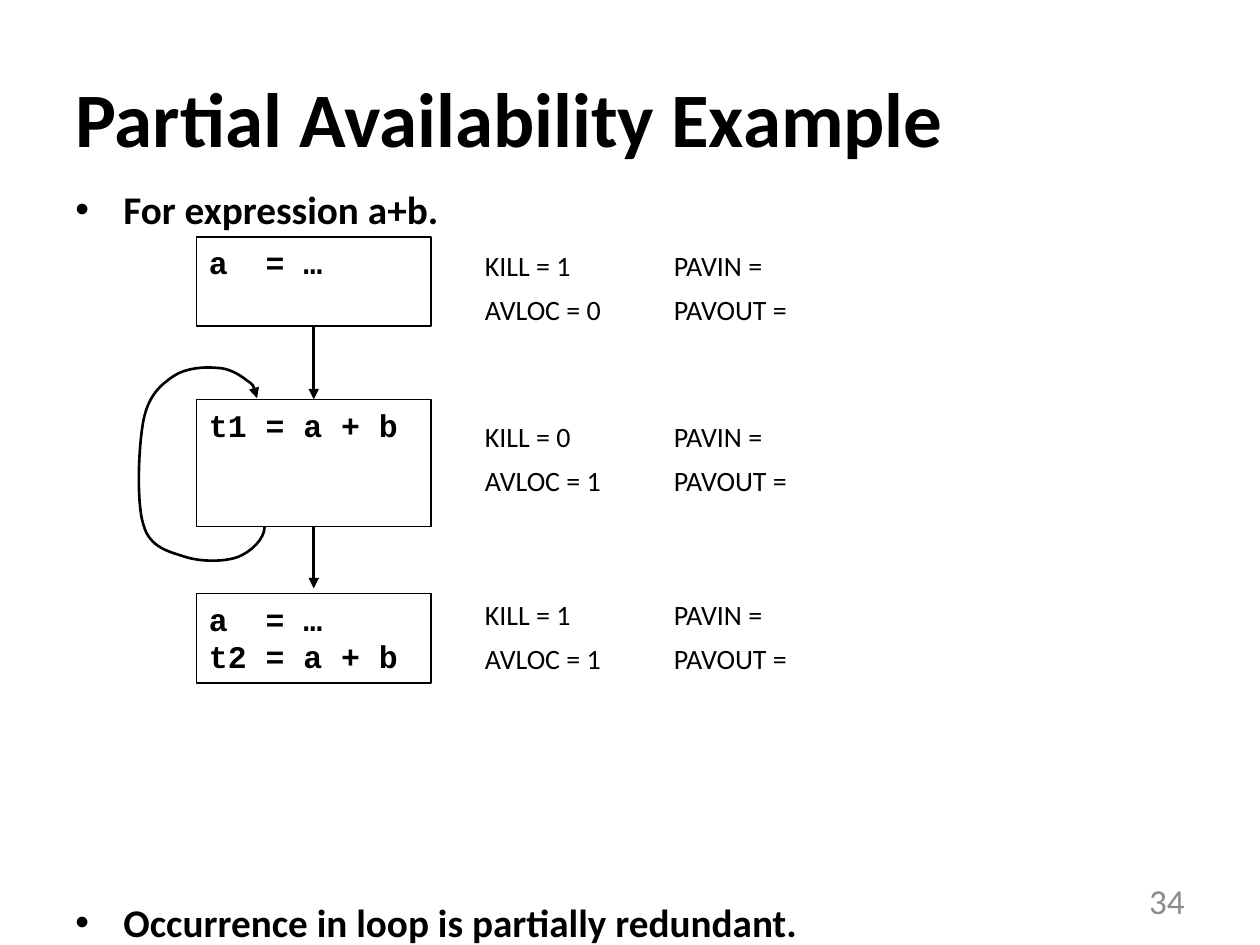
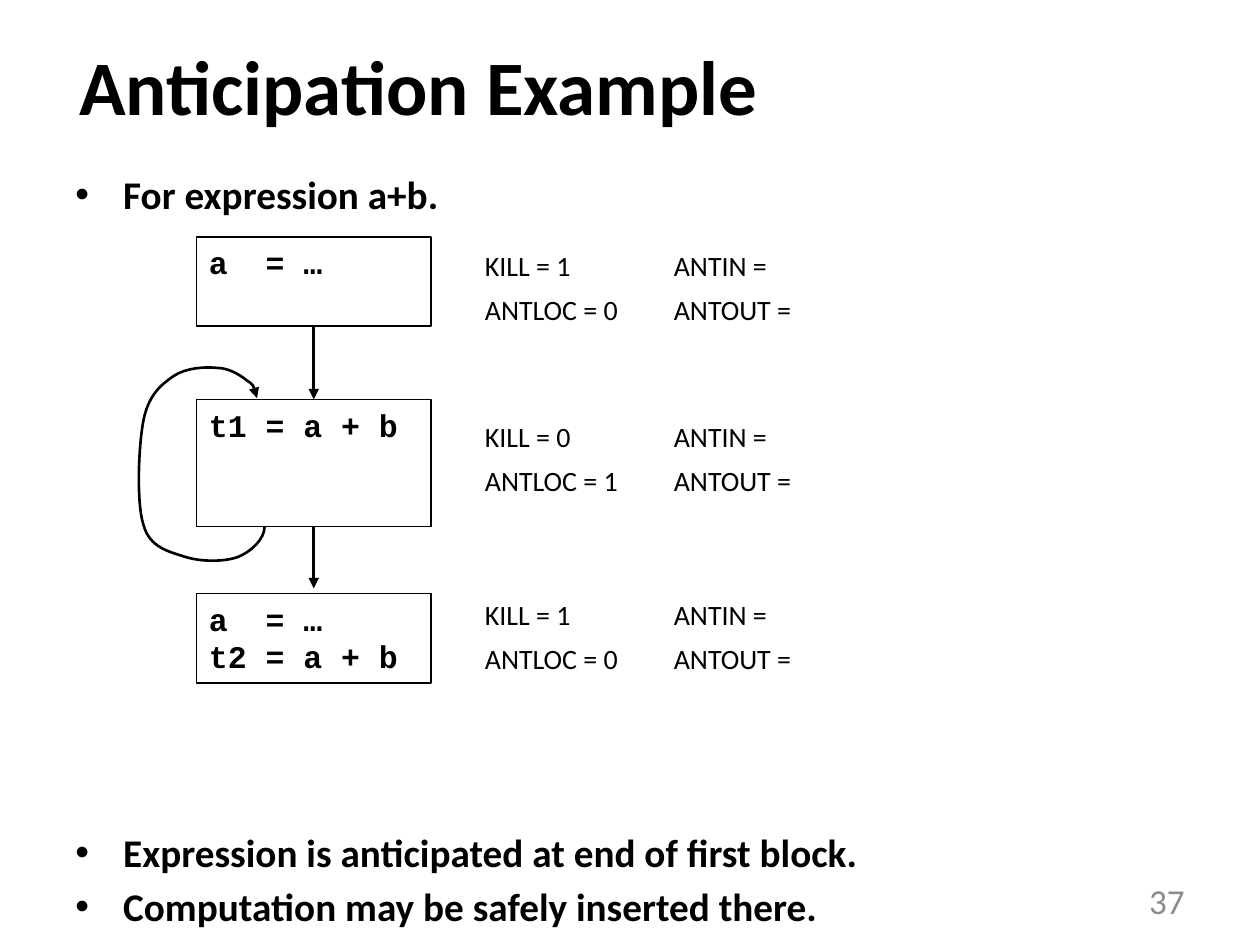
import pptx
import pptx.dml.color
import pptx.enum.shapes
import pptx.enum.text
import pptx.oxml.ns
import pptx.util
from lxml import etree

Inches = pptx.util.Inches
Pt = pptx.util.Pt
qn = pptx.oxml.ns.qn
ANCHOR = pptx.enum.text.MSO_ANCHOR
ALIGN = pptx.enum.text.PP_ALIGN

BLACK = pptx.dml.color.RGBColor(0x00, 0x00, 0x00)
GRAY = pptx.dml.color.RGBColor(0x8C, 0x8C, 0x8C)
SANS = "Calibri"
MONO = "Courier New"

LINE_STEP = 31.4  # points from one bullet line to the next
BULLET_GAP = 4
BOX_LEFT, BOX_WIDTH = 1.56, 1.86
BLOCKS = [(1.88, 0.71, "a  = …"),
          (3.17, 1.01, "t1 = a + b"),
          (4.71, 0.71, "a  = …\nt2 = a + b")]
FACT_TOPS = [1.92, 3.28, 4.69]
KILLS = [1, 0, 1]
# Start point, then two control points and an end point for each curve
LOOP = [(2.1, 4.18),
        (2.1, 4.28), (1.99, 4.38), (1.89, 4.42),
        (1.78, 4.46), (1.6, 4.46), (1.47, 4.42),
        (1.35, 4.38), (1.19, 4.35), (1.14, 4.17),
        (1.08, 3.99), (1.1, 3.53), (1.14, 3.33),
        (1.18, 3.14), (1.27, 3.06), (1.37, 2.99),
        (1.47, 2.92), (1.62, 2.91), (1.72, 2.92),
        (1.82, 2.92), (1.91, 2.98), (1.96, 3.02),
        (2.02, 3.06), (2.03, 3.11), (2.04, 3.16)]


class Deck:
    def __init__(self):
        self.prs = pptx.Presentation()
        self.prs.slide_width = Inches(10)
        self.prs.slide_height = Inches(7.5)
        self.slide = None

    def start(self):
        self.slide = self.prs.slides.add_slide(self.prs.slide_layouts[6])

    def label(self, shape, text, size, font=SANS, color=BLACK, bold=False,
              gap=0, anchor=ANCHOR.TOP, align=ALIGN.LEFT):
        frame = shape.text_frame
        frame.text = text
        frame.word_wrap = True
        frame.vertical_anchor = anchor
        for para in frame.paragraphs:
            para.alignment = align
            para.space_before = Pt(gap)
            for run in para.runs:
                run.font.size = Pt(size)
                run.font.name = font
                run.font.bold = bold
                run.font.color.rgb = color
        return frame

    def text(self, left, top, width, height, text, size, **style):
        shape = self.slide.shapes.add_textbox(
            Inches(left), Inches(top), Inches(width), Inches(height))
        return self.label(shape, text, size, **style)

    def title(self, left, top, text):
        self.text(left, top, 9, 1.25, text, 44, bold=True, anchor=ANCHOR.MIDDLE)

    def number(self, value):
        self.text(7.17, 6.95, 2.33, 0.4, str(value), 20, color=GRAY,
                  anchor=ANCHOR.MIDDLE, align=ALIGN.RIGHT)

    def bullets(self, top, width, height, items, skip):
        """Set bullets, leaving room for skip lines after the first."""
        frame = self.text(0.5, top, width, height, "\n".join(items), 22.4,
                          bold=True, gap=BULLET_GAP)
        for para in frame.paragraphs:
            props = para._p.get_or_add_pPr()
            props.set("marL", str(Inches(0.38)))
            props.set("indent", str(Inches(-0.38)))
            etree.SubElement(props, qn("a:buFont")).set("typeface", "Arial")
            etree.SubElement(props, qn("a:buChar")).set("char", "•")
        frame.paragraphs[1].space_before = Pt(skip * LINE_STEP + BULLET_GAP)

    def block(self, top, height, code):
        box = self.slide.shapes.add_shape(
            pptx.enum.shapes.MSO_SHAPE.RECTANGLE, Inches(BOX_LEFT), Inches(top),
            Inches(BOX_WIDTH), Inches(height))
        box.shadow.inherit = False
        box.fill.background()
        box.line.color.rgb = BLACK
        box.line.width = Pt(1)
        self.label(box, code, 18, font=MONO, bold=True)
        return box

    def tip(self, shape):
        """Style a line and end it with a triangle."""
        shape.line.color.rgb = BLACK
        shape.line.width = Pt(1.5)
        tail = etree.SubElement(shape.line._get_or_add_ln(), qn("a:tailEnd"))
        tail.set("type", "triangle")

    def arrow(self, box, end, target=None):
        """Point down from the box to the height end, or to the target box."""
        mid = Inches(BOX_LEFT + BOX_WIDTH / 2)
        line = self.slide.shapes.add_connector(
            pptx.enum.shapes.MSO_CONNECTOR.STRAIGHT,
            mid, box.top + box.height, mid, Inches(end))
        line.begin_connect(box, 2)
        if target:
            line.end_connect(target, 0)
        self.tip(line)
        etree.SubElement(line._element.spPr, qn("a:effectLst"))

    def curve(self, points):
        """Draw cubic curves through a start point and triples of points."""
        spots = [(Inches(x), Inches(y)) for x, y in points]
        pen = self.slide.shapes.build_freeform(*spots[0])
        pen.add_line_segments(spots[1:], close=False)
        shape = pen.convert_to_shape()
        shape.shadow.inherit = False
        shape.fill.background()
        self.tip(shape)
        steps = list(shape._element.iter(qn("a:lnTo")))
        for i in range(0, len(steps), 3):
            cubic = etree.Element(qn("a:cubicBezTo"))
            steps[i].addprevious(cubic)
            for step in steps[i:i + 3]:
                cubic.append(step[0])
                step.getparent().remove(step)

    def flow(self):
        """Draw the three code blocks, their arrows and the loop."""
        first, body, _ = [self.block(*block) for block in BLOCKS]
        self.arrow(first, BLOCKS[1][0], body)
        self.arrow(body, 4.67)
        self.curve(LOOP)

    def facts(self, local, flags, width, sets, span):
        for top, kill, flag in zip(FACT_TOPS, KILLS, flags):
            self.text(3.75, top, width, 0.72,
                      f"KILL = {kill}\n{local} = {flag}", 16, gap=6)
            self.text(5.25, top, span, 0.72,
                      f"{sets}IN =\n{sets}OUT =", 16, gap=6)


def main():
    deck = Deck()

    deck.start()
    deck.title(0.5, 0.3, "Partial Availability Example")
    deck.bullets(1.42, 9.08, 5.28,
                 ["For expression a+b.",
                  "Occurrence in loop is partially redundant."], skip=12)
    deck.number(34)
    deck.flow()
    deck.facts("AVLOC", [0, 1, 1], 1.15, "PAV", 1.14)

    deck.start()
    deck.title(0.53, 0.05, "Anticipation Example")
    deck.bullets(1.3, 9.03, 5.4,
                 ["For expression a+b.",
                  "Expression is anticipated at end of first block.",
                  "Computation may be safely inserted there."], skip=11)
    deck.number(37)
    deck.flow()
    deck.facts("ANTLOC", [0, 1, 0], 1.28, "ANT", 1.16)

    deck.prs.save("out.pptx")


if __name__ == "__main__":
    main()
